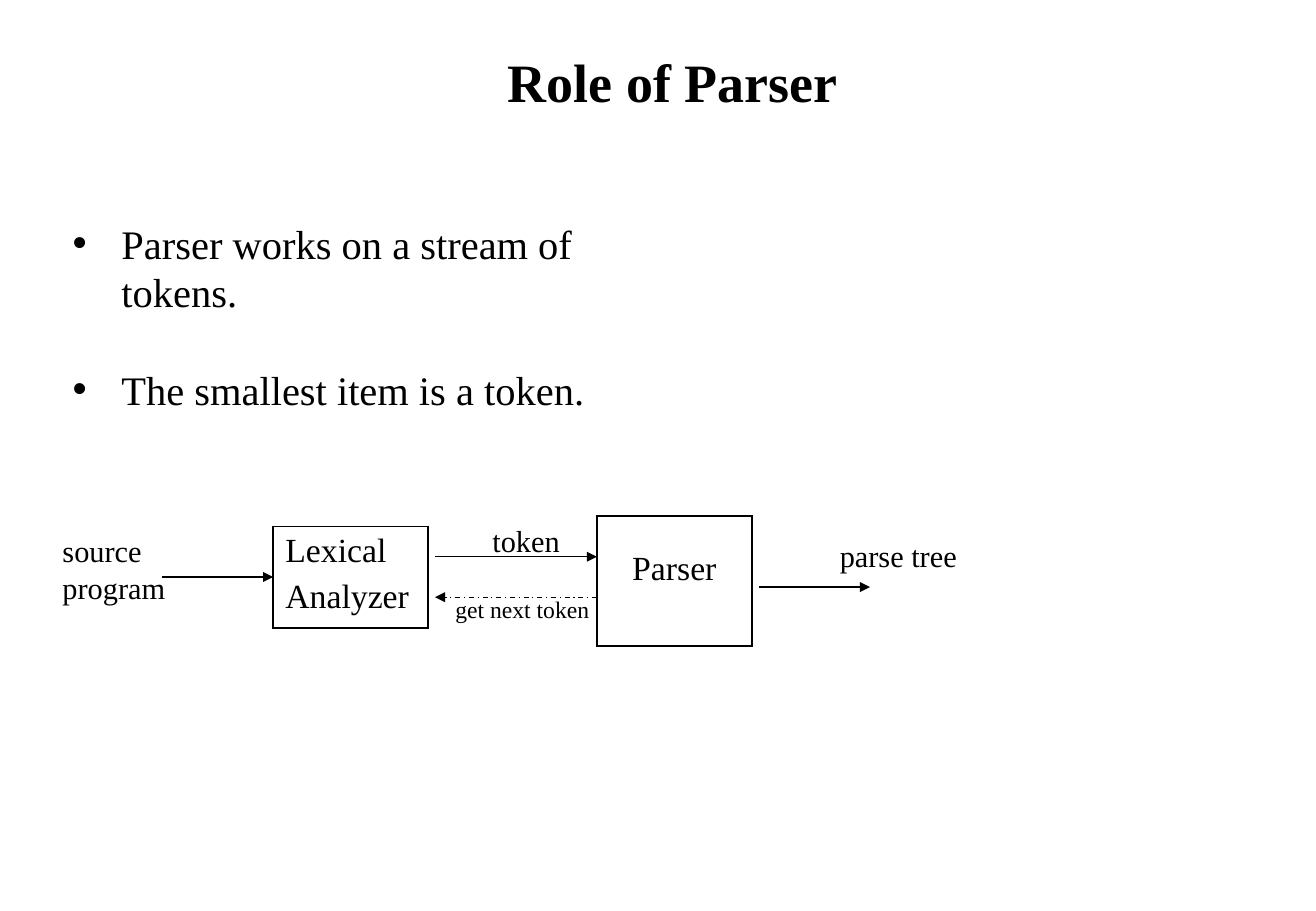
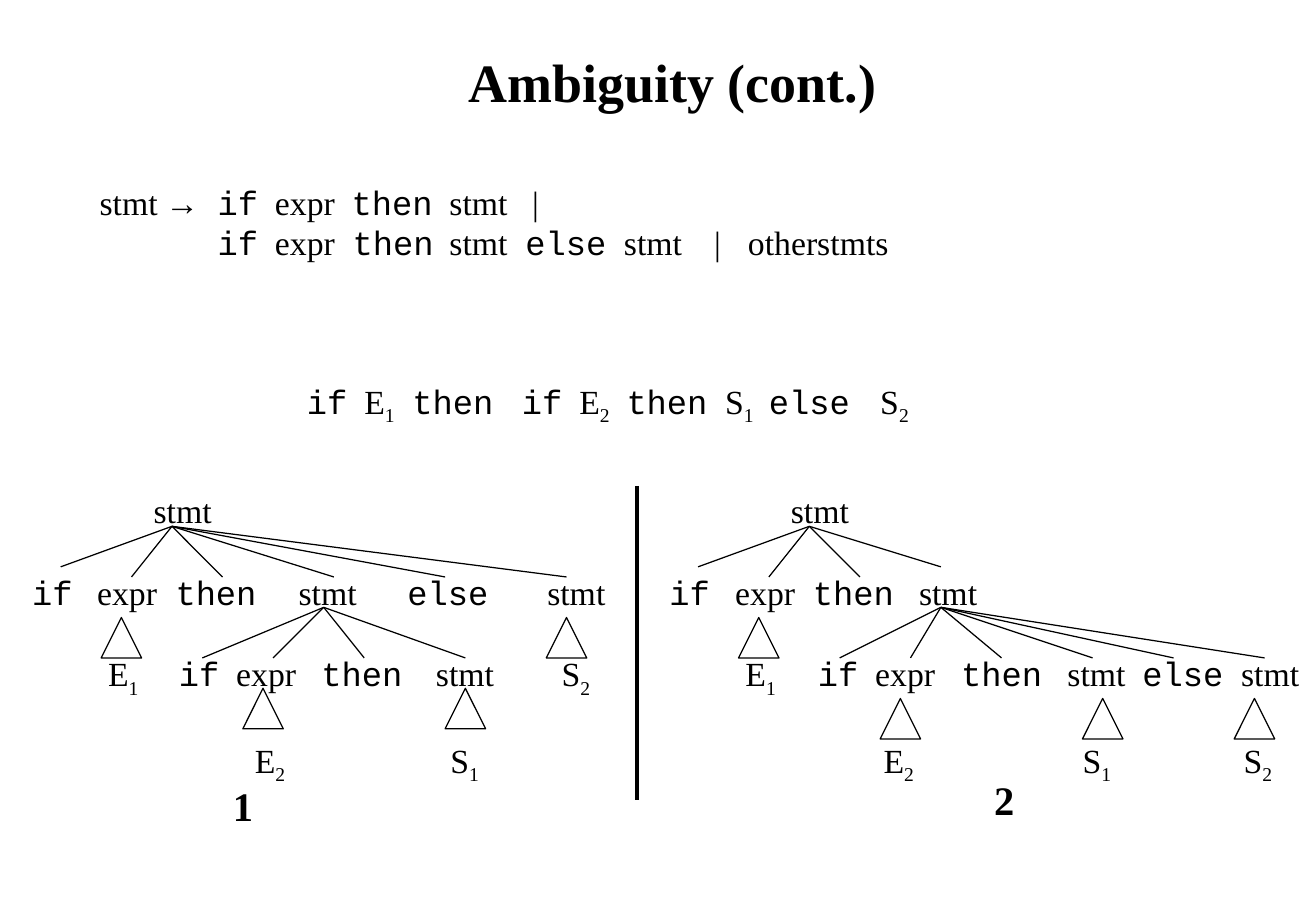
"""Builds two lecture slides on parsing: the role of a parser and an ambiguous grammar."""
from typing import NamedTuple, Optional

from lxml.etree import SubElement
from pptx import Presentation
from pptx.dml.color import RGBColor
from pptx.enum.dml import MSO_LINE
from pptx.enum.shapes import MSO_CONNECTOR, MSO_SHAPE
from pptx.enum.text import MSO_ANCHOR, PP_ALIGN
from pptx.oxml.ns import qn
from pptx.util import Pt

INK = "000000"
SERIF, SANS, MONO = "Times New Roman", "Arial", "Courier New"
TOKEN_FONTS = {"if": MONO, "then": MONO, "else": MONO, "→": SANS}
THIN, TABLE_BORDER, THICK = 0.75, 1.08, 2.25
TRIANGLE_SIZE = 24
ROOT_Y, INNER_Y = 312, 360


class Label(NamedTuple):
    left: float
    top: float
    width: float
    height: float
    lines: list[str]
    size: float = 18
    bold: bool = False


class Box(NamedTuple):
    left: float
    top: float
    height: float
    lines: list[str]
    align: PP_ALIGN = PP_ALIGN.LEFT
    margin_top: float = 3.6


class Line(NamedTuple):
    start: tuple[float, float]
    end: tuple[float, float]
    width: float = THIN
    arrow: bool = False
    dash: Optional[MSO_LINE] = None


class Token(NamedTuple):
    offset: float
    text: str


class Row(NamedTuple):
    tokens: list[Token]
    space_before: float = 0


class Fan(NamedTuple):
    apex: tuple[float, float]
    ends: list[tuple[float, float]]


class Tree(NamedTuple):
    left: float
    width: float
    rows: list[Row]
    fans: list[Fan]
    triangles: list[tuple[float, float]]
    number: Label


def color(value: str) -> RGBColor:
    return RGBColor.from_string(value)


def style_paragraph(paragraph, size: float, bold: bool = False) -> None:
    font = paragraph.font
    font.name, font.size, font.bold = SERIF, Pt(size), bold
    font.color.rgb = color(INK)


def add_frame(slide, left: float, top: float, width: float, height: float):
    shape = slide.shapes.add_textbox(Pt(left), Pt(top), Pt(width), Pt(height))
    shape.text_frame.word_wrap = True
    return shape.text_frame


def fill_lines(frame, lines: list[str], size: float, bold: bool = False) -> None:
    frame.text = "\n".join(lines)
    for paragraph in frame.paragraphs:
        style_paragraph(paragraph, size, bold)


def add_label(slide, label: Label) -> None:
    frame = add_frame(slide, label.left, label.top, label.width, label.height)
    fill_lines(frame, label.lines, label.size, label.bold)


def add_title(slide, text: str) -> None:
    frame = add_frame(slide, 30, 12, 738, 72)
    frame.vertical_anchor = MSO_ANCHOR.MIDDLE
    fill_lines(frame, [text], 32, True)
    frame.paragraphs[0].alignment = PP_ALIGN.CENTER


def add_bullets(slide, items: list[str]) -> None:
    frame = add_frame(slide, 36, 126, 374, 118)
    frame.text = "\n".join(items)
    for index, paragraph in enumerate(frame.paragraphs):
        paragraph.space_before = Pt(29 if index else 0)
        properties = paragraph._p.get_or_add_pPr()
        properties.set("marL", str(Pt(29)))
        properties.set("indent", str(-Pt(29)))
        SubElement(properties, qn("a:buFont"), typeface=SANS)
        SubElement(properties, qn("a:buChar"), char="•")
        style_paragraph(paragraph, 24)


def add_box(slide, box: Box) -> None:
    width = 92
    table = slide.shapes.add_table(
        1, 1, Pt(box.left), Pt(box.top), Pt(width), Pt(box.height)).table
    table.first_row = table.horz_banding = False
    cell = table.cell(0, 0)
    cell.margin_top = Pt(box.margin_top)
    properties = cell._tc.get_or_add_tcPr()
    for side in ("lnL", "lnR", "lnT", "lnB"):
        border = SubElement(properties, qn(f"a:{side}"), w=str(Pt(TABLE_BORDER)))
        SubElement(SubElement(border, qn("a:solidFill")), qn("a:srgbClr"), val=INK)
    cell.fill.background()
    fill_lines(cell.text_frame, box.lines, 20)
    for index, paragraph in enumerate(cell.text_frame.paragraphs):
        paragraph.alignment = box.align
        paragraph.space_before = Pt(5 if index else 0)


def add_line(slide, line: Line) -> None:
    connector = slide.shapes.add_connector(
        MSO_CONNECTOR.STRAIGHT, *(Pt(value) for value in line.start + line.end))
    connector.line.color.rgb = color(INK)
    connector.line.width = Pt(line.width)
    if line.dash is not None:
        connector.line.dash_style = line.dash
    if line.arrow:
        SubElement(connector.line._get_or_add_ln(), qn("a:tailEnd"), type="triangle")
    SubElement(connector._element.spPr, qn("a:effectLst"))


def add_triangle(slide, left: float, top: float) -> None:
    shape = slide.shapes.add_shape(
        MSO_SHAPE.ISOSCELES_TRIANGLE, Pt(left), Pt(top), Pt(TRIANGLE_SIZE), Pt(TRIANGLE_SIZE))
    shape.shadow.inherit = False
    shape.fill.background()
    shape.line.color.rgb = color(INK)
    shape.line.width = Pt(THIN)


def add_token(paragraph, token: Token) -> None:
    has_index = len(token.text) == 2 and token.text[1].isdigit()
    word = token.text[0] if has_index else token.text
    run = paragraph.add_run()
    run.text = f"\t{word}" if token.offset else word
    if word in TOKEN_FONTS:
        run.font.name = TOKEN_FONTS[word]
    if has_index:
        index = paragraph.add_run()
        index.text = token.text[1]
        index._r.get_or_add_rPr().set("baseline", "-25000")


def add_rows(slide, left: float, top: float, width: float, height: float, rows: list[Row]) -> None:
    frame = add_frame(slide, left, top, width, height)
    for number, row in enumerate(rows):
        paragraph = frame.add_paragraph() if number else frame.paragraphs[0]
        paragraph.space_before = Pt(row.space_before)
        tabs = SubElement(paragraph._p.get_or_add_pPr(), qn("a:tabLst"))
        for token in row.tokens:
            if token.offset:
                SubElement(tabs, qn("a:tab"), pos=str(Pt(token.offset)), algn="l")
        style_paragraph(paragraph, 20)
        for token in row.tokens:
            add_token(paragraph, token)


def add_tree(slide, tree: Tree) -> None:
    add_rows(slide, tree.left, 286.5, tree.width, 190, tree.rows)
    for fan in tree.fans:
        for end in fan.ends:
            add_line(slide, Line(fan.apex, end))
    for left, top in tree.triangles:
        add_triangle(slide, left, top)
    add_label(slide, tree.number)


def row(words: str, offsets: list[float], space_before: float = 0) -> Row:
    return Row([Token(*pair) for pair in zip(offsets, words.split())], space_before)


def fan(x: float, y: float, ends: list[float], drop: float) -> Fan:
    return Fan((x, y), [(end, y + drop) for end in ends])


ROLE_LABELS = [
    Label(30, 312, 80, 50, ["source", "program"]),
    Label(285, 306, 64, 29, ["token"]),
    Label(263, 349, 100, 24, ["get next token"], 14),
    Label(491, 315, 90, 29, ["parse tree"]),
]
ROLE_BOXES = [
    Box(162, 312, 60, ["Lexical", "Analyzer"]),
    Box(354, 306, 77, ["Parser"], PP_ALIGN.CENTER, 20),
]
ROLE_ARROWS = [
    Line((96, 342), (162, 342), arrow=True),
    Line((258, 330), (354, 330), arrow=True),
    Line((354, 354), (258, 354), arrow=True, dash=MSO_LINE.DASH_DOT),
    Line((450, 348), (516, 348), arrow=True),
]
GRAMMAR = [
    row("stmt → if expr then stmt |", [0, 39, 70, 104, 149.5, 207.5, 256.5]),
    row("if expr then stmt else stmt | otherstmts",
        [70, 104, 150, 207.5, 252.5, 311, 364.5, 384.5]),
]
SENTENCE = [row("if E1 then if E2 then S1 else S2",
                [0, 34, 62.5, 127.5, 161.5, 189.5, 248, 274, 340])]
TREES = [
    Tree(12, 378,
         [row("stmt", [72]),
          row("if expr then stmt else stmt", [0, 38.5, 85, 158, 222.5, 305.5], 25),
          row("E1 if expr then stmt S2", [45, 87, 121, 171.5, 239.5, 314], 24),
          row("E2 S1", [132, 248], 24)],
         [fan(102, ROOT_Y, [36], 24),
          fan(102, ROOT_Y, [78, 132, 198, 264, 336], 30),
          fan(192, INNER_Y, [120, 162, 216, 276], 30)],
         [(60, 366), (144, 408), (264, 408), (324, 366)],
         Label(131, 459.5, 26, 36, ["1"], 24, True)),
    Tree(390, 390,
         [row("stmt", [72]),
          row("if expr then stmt", [0, 39, 85, 148], 25),
          row("E1 if expr then stmt else stmt", [45, 88, 122, 173, 236, 280.5, 339], 24),
          row("E2 S1 S2", [127, 245, 340.5], 24)],
         [fan(480, ROOT_Y, [414, 558], 24),
          fan(480, ROOT_Y, [456, 510], 30),
          fan(558, INNER_Y, [498, 540, 594, 648, 696, 750], 30)],
         [(438, 366), (522, 414), (642, 414), (732, 414)],
         Label(582.5, 456, 26, 36, ["2"], 24, True)),
]


def build_role_slide(slide) -> None:
    add_title(slide, "Role of Parser")
    for box in ROLE_BOXES:
        add_box(slide, box)
    for arrow in ROLE_ARROWS:
        add_line(slide, arrow)
    for label in ROLE_LABELS:
        add_label(slide, label)
    add_bullets(slide, ["Parser works on a stream of tokens.", "The smallest item is a token."])


def build_ambiguity_slide(slide) -> None:
    add_title(slide, "Ambiguity (cont.)")
    add_rows(slide, 52, 104, 500, 55, GRAMMAR)
    add_rows(slide, 175, 222, 390, 35, SENTENCE)
    for tree in TREES:
        add_tree(slide, tree)
    add_line(slide, Line((378, 288), (378, 474), THICK))


def main() -> None:
    presentation = Presentation()
    presentation.slide_width, presentation.slide_height = Pt(780.48), Pt(540)
    blank = presentation.slide_layouts[6]
    for build in (build_role_slide, build_ambiguity_slide):
        build(presentation.slides.add_slide(blank))
    presentation.save("out.pptx")


if __name__ == "__main__":
    main()
